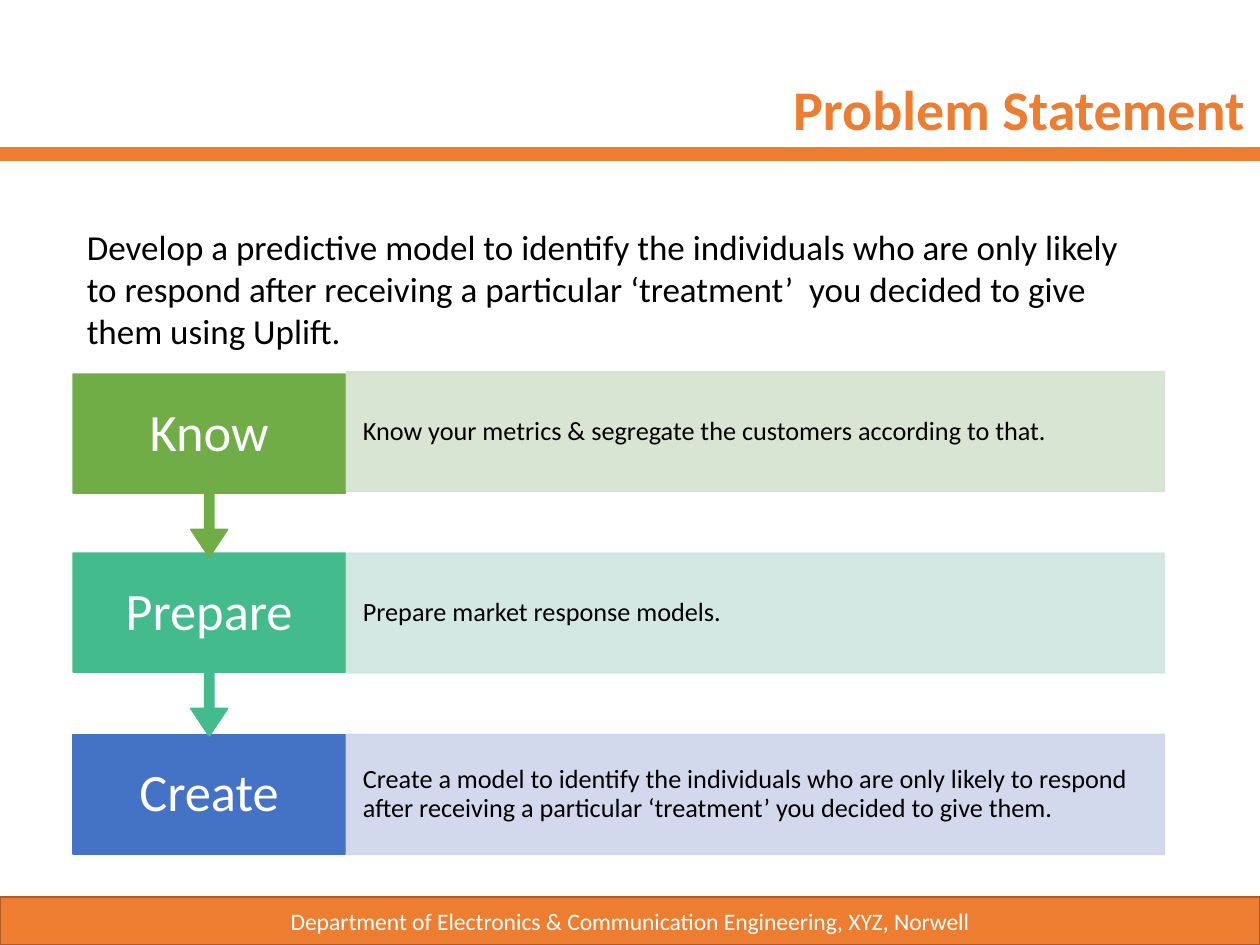
import dataclasses

import pptx
import pptx.dml.color
import pptx.enum.shapes
import pptx.enum.text
import pptx.oxml.ns
import pptx.oxml.xmlchemy
import pptx.util
from pptx.util import Pt

SHAPE = pptx.enum.shapes.MSO_SHAPE
ALIGN = pptx.enum.text.PP_ALIGN
ANCHOR = pptx.enum.text.MSO_ANCHOR
COLORS = {
    "orange": "ED7D31", "rust": "AF5C24", "white": "FFFFFF", "black": "000000",
    "green": "70AD47", "pale_green": "D5E3CF",
    "teal": "43BB8D", "pale_teal": "CFE6E0",
    "blue": "4472C4", "pale_blue": "CFD5EA",
}
FONT = "Calibri"

# Geometry of the process rows, in points
LABEL_X, LABEL_W = 41.76, 155.52
DETAIL_X, DETAIL_W = 198, 467.28
ROW_H, CALLOUT_H = 68.4, 104.4
FIRST_Y, PITCH = 212.4, 103.68


@dataclasses.dataclass
class Box:
    x: float
    y: float
    w: float
    h: float

    def lengths(self) -> list:
        return [Pt(v) for v in (self.x, self.y, self.w, self.h)]


@dataclasses.dataclass
class Step:
    label: str
    detail: str
    color: str
    pale: str
    label_shift: float = 0


STEPS = [
    Step("Know", "Know your metrics & segregate the customers according to that.",
         "green", "pale_green", 1.44),
    Step("Prepare", "Prepare market response models.", "teal", "pale_teal"),
    Step("Create", "Create a model to identify the individuals who are only likely to respond "
         "after receiving a particular ‘treatment’ you decided to give them.",
         "blue", "pale_blue"),
]


def rgb(name: str) -> pptx.dml.color.RGBColor:
    return pptx.dml.color.RGBColor.from_string(COLORS[name])


def write(sp, text: str, size: float, color: str, align=ALIGN.LEFT, bold: bool = False,
          anchor=ANCHOR.MIDDLE, spacing: float = 1, inset: tuple = (7.2, 3.6)) -> None:
    tf = sp.text_frame
    side, top = (Pt(v) for v in inset)
    frame_format = {"word_wrap": True, "vertical_anchor": anchor, "margin_left": side,
                    "margin_right": side, "margin_top": top, "margin_bottom": top}
    p = tf.paragraphs[0]
    r = p.add_run()
    r.text = text
    r.font.color.rgb = rgb(color)
    formats = [(tf, frame_format),
               (p, {"alignment": align, "line_spacing": spacing}),
               (r.font, {"name": FONT, "size": Pt(size), "bold": bold})]
    for target, values in formats:
        for name, value in values.items():
            setattr(target, name, value)


def add_text(s, box: Box, text: str, size: float, color: str, **options) -> None:
    write(s.shapes.add_textbox(*box.lengths()), text, size, color, **options)


def add_block(s, kind, box: Box, fill: str, line: str, opacity: int = 100):
    sp = s.shapes.add_shape(kind, *box.lengths())
    sp.shadow.inherit = False
    sp.fill.solid()
    sp.fill.fore_color.rgb = rgb(fill)
    sp.line.color.rgb = rgb(line)
    sp.line.width = Pt(1)
    if opacity < 100:
        for clr in sp._element.spPr.iter(pptx.oxml.ns.qn("a:srgbClr")):
            alpha = pptx.oxml.xmlchemy.OxmlElement("a:alpha")
            alpha.set("val", str(opacity * 1000))
            clr.append(alpha)
    return sp


def add_step(s, step: Step, y: float, last: bool) -> None:
    # Label block, with a downward arrow unless it is the last step
    label_y = y + step.label_shift
    label = Box(LABEL_X, label_y, LABEL_W, ROW_H)
    if last:
        add_block(s, SHAPE.RECTANGLE, label, step.color, step.color)
    else:
        callout = Box(LABEL_X, label_y, LABEL_W, CALLOUT_H)
        sp = add_block(s, SHAPE.UP_ARROW_CALLOUT, callout, step.color, step.color)
        sp.rotation = 180
        for i, value in enumerate((0.05, 0.1, 0.15, 0.65)):
            sp.adjustments[i] = value
    add_text(s, label, step.label, 30, "white", align=ALIGN.CENTER, spacing=0.9,
             inset=(10.8, 16.56))

    # Detail panel
    sp = add_block(s, SHAPE.RECTANGLE, Box(DETAIL_X, y, DETAIL_W, ROW_H),
                   step.pale, step.pale, opacity=90)
    write(sp, step.detail, 15, "black", spacing=0.9, inset=(9.36, 15.12))


def main() -> None:
    prs = pptx.Presentation()
    prs.slide_width, prs.slide_height = Pt(720), Pt(540)
    s = prs.slides.add_slide(prs.slide_layouts[6])

    # Header rule
    rule = s.shapes.add_connector(pptx.enum.shapes.MSO_CONNECTOR.STRAIGHT,
                                  Pt(0), Pt(87.84), Pt(720), Pt(87.84))
    rule.line.color.rgb = rgb("orange")
    rule.line.width = Pt(8)
    rule._element.spPr.append(pptx.oxml.xmlchemy.OxmlElement("a:effectLst"))

    # Footer band
    footer = add_block(s, SHAPE.RECTANGLE, Box(0, 512.64, 720, 27.36), "orange", "rust")
    write(footer, "Department of Electronics & Communication Engineering, XYZ, Norwell",
          13.5, "white", align=ALIGN.CENTER)

    # Title and statement
    add_text(s, Box(165.6, 43.2, 552.96, 41.04), "Problem Statement", 32, "orange",
             align=ALIGN.RIGHT, bold=True, anchor=ANCHOR.TOP, spacing=0.9)
    add_text(s, Box(42.48, 125.28, 605.52, 79.92),
             "Develop a predictive model to identify the individuals who are only likely to "
             "respond after receiving a particular ‘treatment’  you decided to give them "
             "using Uplift.", 20, "black", anchor=ANCHOR.TOP)

    # Process rows, bottom first so that each arrow overlaps the row below
    for i, step in reversed(list(enumerate(STEPS))):
        add_step(s, step, FIRST_Y + i * PITCH, last=i == len(STEPS) - 1)

    prs.save("out.pptx")


if __name__ == "__main__":
    main()
